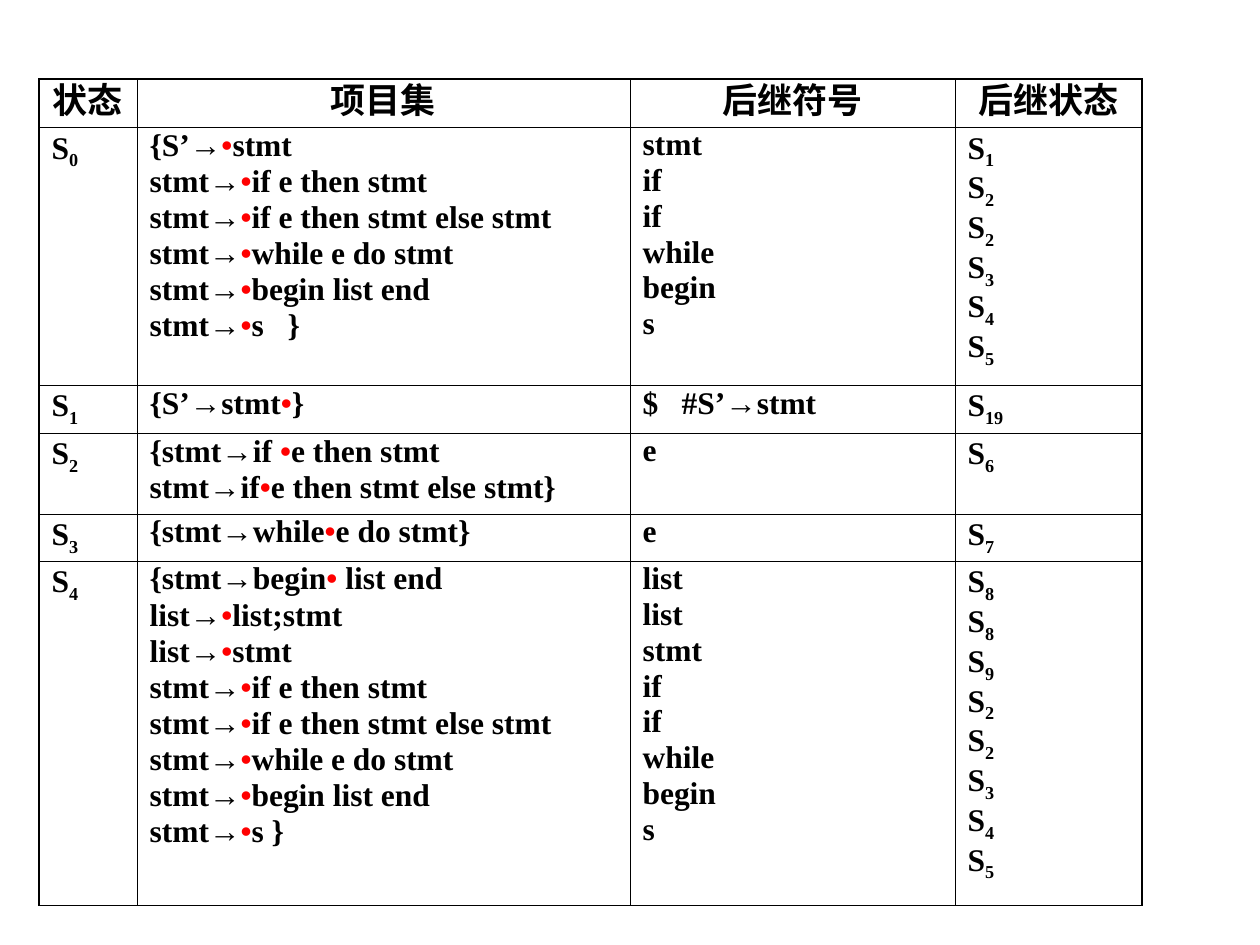
"""Builds the slide with the LR item-set table."""
from dataclasses import dataclass
from itertools import groupby

from lxml import etree
from pptx import Presentation
from pptx import util as u
from pptx.dml.color import RGBColor
from pptx.enum import text
from pptx.oxml.ns import qn

PX = 914400 // 126


@dataclass(frozen=True)
class Theme:
    """Colours, fonts and sizes of the slide."""
    ink: str = "000000"
    dot: str = "FF0000"
    body_font: str = "Times New Roman"
    arrow_font: str = "Arial"
    head_font: str = "Noto Sans CJK SC"
    head_size: float = 20
    body_size: float = 18
    thin: float = 0.45
    thick: float = 1.08


THEME = Theme()
COLUMN_WIDTHS = [98, 493, 325, 187]
ROW_HEIGHTS = [43, 258, 48, 81, 47, 344]
GAP_STOPS = {"s\t}": 138, "$\t#": 39}
HEADINGS = ["状态", "项目集", "后继符号", "后继状态"]
STATEMENTS = ["stmt→•if e then stmt", "stmt→•if e then stmt else stmt",
              "stmt→•while e do stmt", "stmt→•begin list end"]
STARTS = ["if", "if", "while", "begin", "s"]
STATES = [
    (["S_0"], ["{S’→•stmt", *STATEMENTS, "stmt→•s\t}"], ["stmt", *STARTS],
     ["S_1", "S_2", "S_2", "S_3", "S_4", "S_5"]),
    (["S_1"], ["{S’→stmt•}"], ["$\t#S’→stmt"], ["S_19"]),
    (["S_2"], ["{stmt→if •e then stmt", "stmt→if•e then stmt else stmt}"], ["e"], ["S_6"]),
    (["S_3"], ["{stmt→while•e do stmt}"], ["e"], ["S_7"]),
    (["S_4"], ["{stmt→begin• list end", "list→•list;stmt", "list→•stmt", *STATEMENTS, "stmt→•s }"],
     ["list", "list", "stmt", *STARTS],
     ["S_8", "S_8", "S_9", "S_2", "S_2", "S_3", "S_4", "S_5"]),
]


def px(length):
    """Turn pixels into EMU."""
    return u.Emu(length * PX)


def add_span(para, words, *, font, size, color=THEME.ink, baseline=None):
    """Add one formatted bold run to a paragraph."""
    span = para.add_run()
    span.text = words
    span.font.name = font
    span.font.size = u.Pt(size)
    span.font.bold = True
    span.font.color.rgb = RGBColor.from_string(color)
    properties = span.font._element
    etree.SubElement(properties, qn("a:ea"), typeface=font)
    if baseline is not None:
        properties.set("baseline", str(baseline))


def add_tab_stop(para, position):
    """Set one left tab stop on a paragraph."""
    stops = etree.SubElement(para._p.get_or_add_pPr(), qn("a:tabLst"))
    etree.SubElement(stops, qn("a:tab"), pos=str(px(position)), algn="l")


def write_lines(cell, lines, *, font=THEME.body_font, size=THEME.body_size,
                align=text.PP_ALIGN.LEFT, spacing=0.8, before=4.5):
    """Write lines into a cell, with styled arrows, dots and subscripts."""
    frame = cell.text_frame
    for index, line in enumerate(lines):
        para = frame.add_paragraph() if index else frame.paragraphs[0]
        for mark, stop in GAP_STOPS.items():
            if mark in line:
                add_tab_stop(para, stop)
        para.alignment = align
        para.line_spacing = spacing
        para.space_before = u.Pt(before if index else 0)
        main, _, subscript = line.partition("_")
        for mark, letters in groupby(main, lambda letter: letter if letter in "→•" else ""):
            add_span(para, "".join(letters), size=size,
                     font=THEME.arrow_font if mark == "→" else font,
                     color=THEME.dot if mark == "•" else THEME.ink)
        if subscript:
            add_span(para, subscript, font=font, size=size, baseline=-25000)


def style_cell(cell, **widths):
    """Give a cell its four borders, margins and no fill."""
    properties = cell._tc.get_or_add_tcPr()
    for side in ("L", "R", "T", "B"):
        width = u.Pt(widths.get(side, THEME.thin))
        line = etree.SubElement(properties, qn(f"a:ln{side}"), w=str(width))
        fill = etree.SubElement(line, qn("a:solidFill"))
        etree.SubElement(fill, qn("a:srgbClr"), val=THEME.ink)
    cell.fill.background()
    cell.margin_left = cell.margin_right = u.Inches(0.1)
    cell.margin_top = cell.margin_bottom = u.Inches(0.05)


def add_grid(page, left, top):
    """Add the empty bordered table."""
    rows, columns = len(ROW_HEIGHTS), len(COLUMN_WIDTHS)
    table = page.shapes.add_table(rows, columns, px(left), px(top),
                                  px(sum(COLUMN_WIDTHS)), px(sum(ROW_HEIGHTS))).table
    table.first_row = table.horz_banding = False
    for column, width in zip(table.columns, COLUMN_WIDTHS):
        column.width = px(width)
    for r, height in enumerate(ROW_HEIGHTS):
        table.rows[r].height = px(height)
        for c in range(columns):
            outer = {"L": c == 0, "R": c == columns - 1, "T": r == 0}
            style_cell(table.cell(r, c),
                       **{side: THEME.thick for side, edge in outer.items() if edge})
    return table


def main():
    """Build and save the deck."""
    deck = Presentation()
    deck.slide_width, deck.slide_height = u.Inches(10), u.Inches(7.5)
    page = deck.slides.add_slide(deck.slide_layouts[6])
    table = add_grid(page, 39, 79)
    for c, heading in enumerate(HEADINGS):
        write_lines(table.cell(0, c), [heading], font=THEME.head_font, size=THEME.head_size,
                    align=text.PP_ALIGN.CENTER, spacing=0.7)
    for r, state in enumerate(STATES, start=1):
        for c, lines in enumerate(state):
            write_lines(table.cell(r, c), lines)
    deck.save("out.pptx")


if __name__ == "__main__":
    main()
